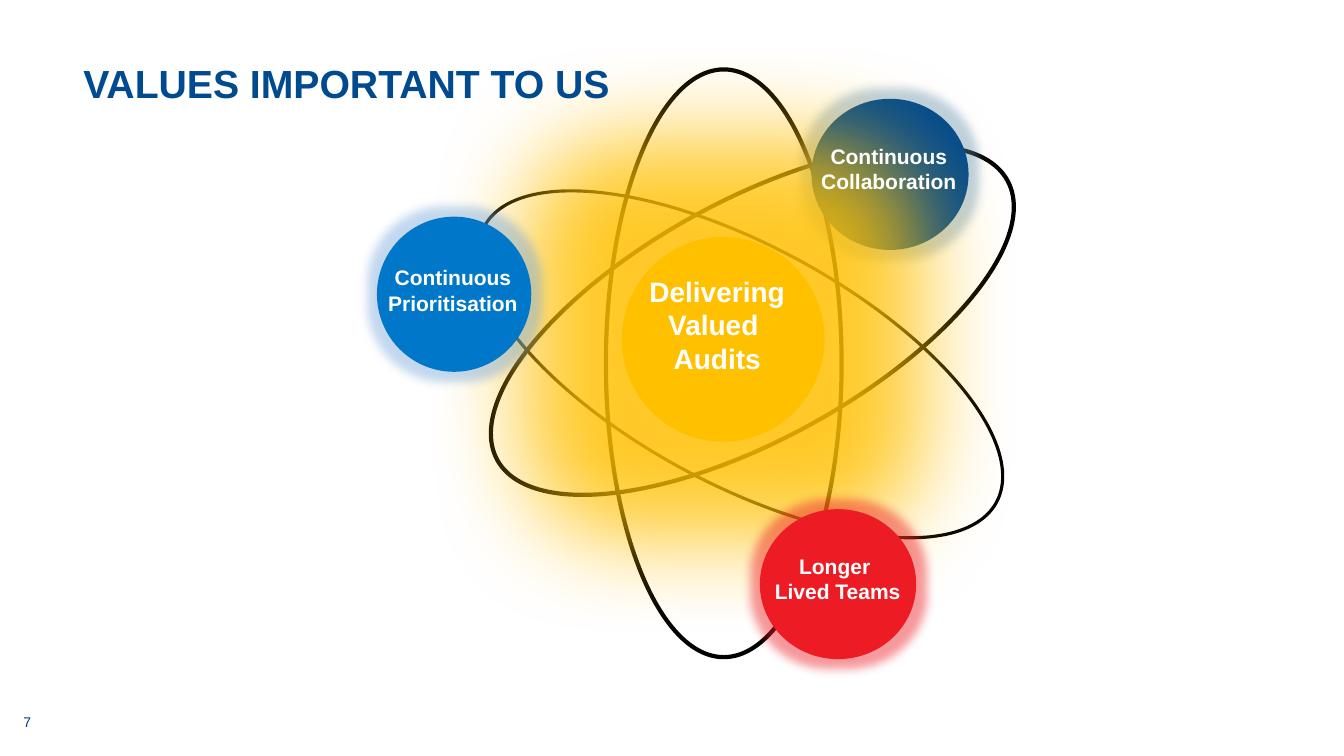
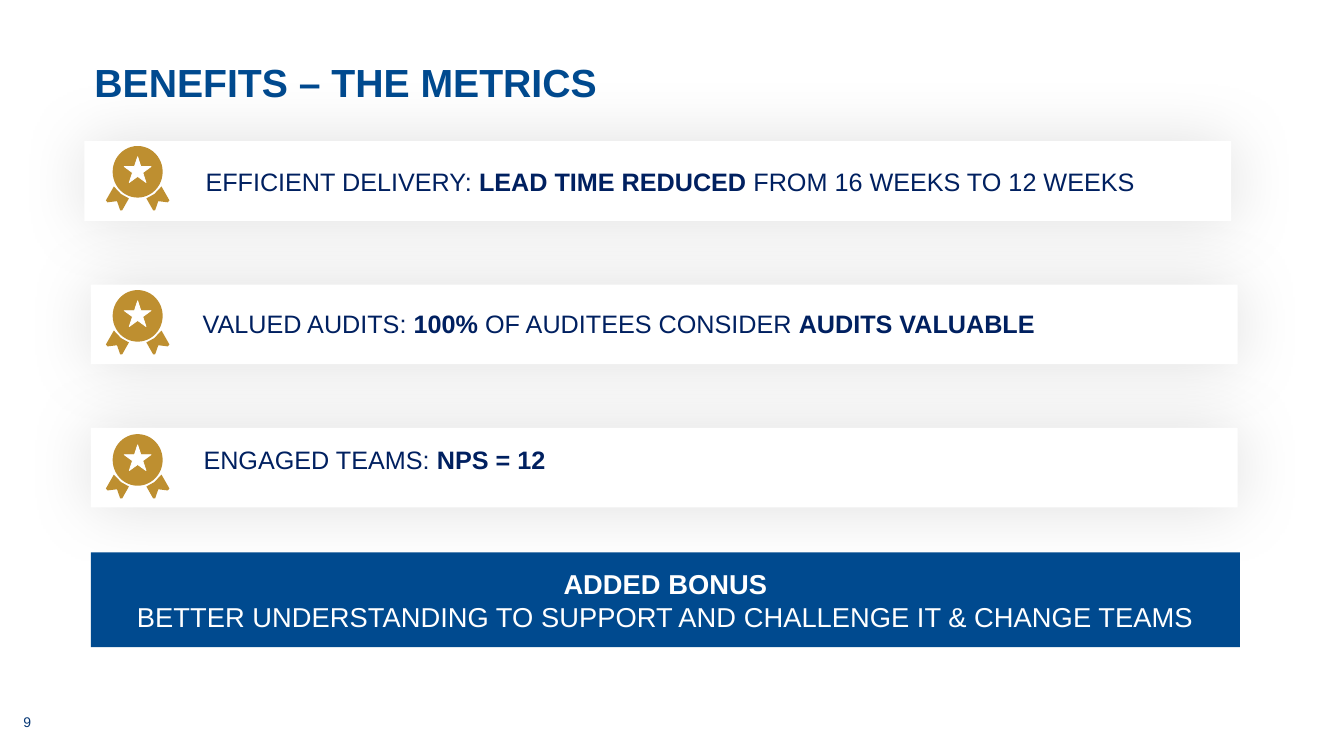
from lxml import etree
from pptx import Presentation
from pptx.dml.color import RGBColor
from pptx.enum.shapes import MSO_SHAPE
from pptx.enum.text import MSO_ANCHOR, PP_ALIGN
from pptx.oxml.ns import qn
from pptx.util import Cm, Pt

FONT = "Arial"
WHITE = RGBColor(0xFF, 0xFF, 0xFF)
BLACK = RGBColor(0x00, 0x00, 0x00)
DEEP_BLUE = RGBColor(0x00, 0x4A, 0x8F)
BRIGHT_BLUE = RGBColor(0x00, 0x77, 0xC8)
NAVY = RGBColor(0x00, 0x20, 0x60)
PAGE_BLUE = RGBColor(0x07, 0x38, 0x76)
YELLOW = RGBColor(0xFF, 0xC0, 0x00)
RED = RGBColor(0xED, 0x1C, 0x24)
GOLD = RGBColor(0xBE, 0x8F, 0x30)
GLOW_DEEP = RGBColor(0x5C, 0x8C, 0xB4)
GLOW_BRIGHT = RGBColor(0x69, 0x9D, 0xD7)

# Content; all lengths in centimetres
VALUES_TITLE = ("VALUES IMPORTANT TO US", (1.85, 1.37, 13.92, 1.45))
METRICS_TITLE = ("BENEFITS – THE METRICS", (2.13, 1.35, 13.31, 1.45))

ORBITS = [  # box, rotation, line width in points
    ((15.65, 1.85, 6.02, 14.66), 298.3, 2.25),
    ((15.95, 0.74, 6.02, 14.66), 61.3, 3),
    ((15.27, 1.75, 5.94, 14.81), 0, 3),
]
BUBBLES = [  # box, fill, glow colour, glow radius, glow opacity in percent
    ((20.45, 2.49, 3.96, 3.81), DEEP_BLUE, GLOW_DEEP, 0.5, 40),
    ((15.67, 5.97, 5.11, 5.16), YELLOW, YELLOW, 5, 84),
    ((19.15, 12.83, 3.94, 3.78), RED, RED, 0.5, 45),
    ((9.5, 5.46, 3.89, 3.91), BRIGHT_BLUE, GLOW_BRIGHT, 0.5, 40),
]
BUBBLE_LABELS = [  # box, size, paragraphs
    ((15.98, 6.78, 4.19, 2.87), 20, ["Delivering Valued ", "Audits"]),
    ((19.96, 3.48, 4.88, 1.55), 15, ["Continuous Collaboration"]),
    ((18.67, 13.82, 4.88, 1.55), 15, ["Longer ", "Lived Teams"]),
    ((9.47, 6.55, 3.89, 1.55), 15, ["Continuous Prioritisation"]),
]

METRICS = [  # card left, text left, text top, runs as (text, bold)
    (2.13, 5.18, 4.19, [("EFFICIENT DELIVERY: ", False), ("LEAD TIME REDUCED ", True),
                        ("FROM 16 WEEKS TO 12 WEEKS", False)]),
    (2.29, 5.11, 7.77, [("VALUED AUDITS: ", False), ("100% ", True),
                        ("OF AUDITEES CONSIDER ", False), ("AUDITS VALUABLE", True)]),
    (2.29, 5.13, 11.2, [("ENGAGED TEAMS: ", False), ("NPS = 12", True)]),
]
CARD_TOP, CARD_STEP, CARD_WIDTH, CARD_HEIGHT = 3.56, 3.61, 28.9, 2.01
MEDAL_LEFT, MEDAL_TOP, MEDAL_STEP, MEDAL_WIDTH = 2.67, 3.68, 3.63, 1.6
RIBBON = [(0.58, 1.32), (0.38, 1.21), (0.2, 1.02), (0, 1.37), (0.04, 1.42),
          (0.28, 1.39), (0.36, 1.62), (0.41, 1.62)]
BONUS = [("ADDED BONUS", True),
         ("BETTER UNDERSTANDING TO SUPPORT AND CHALLENGE IT & CHANGE TEAMS", False)]


def lengths(box):
    return [Cm(value) for value in box]


def paint(shape, fill=None, line=None, line_width=1):
    shape.shadow.inherit = False
    if fill is None:
        shape.fill.background()
    else:
        shape.fill.solid()
        shape.fill.fore_color.rgb = fill
    if line is None:
        shape.line.fill.background()
    else:
        shape.line.color.rgb = line
        shape.line.width = Pt(line_width)


def add_shape(shapes, kind, box, fill=None, line=None, line_width=1):
    shape = shapes.add_shape(kind, *lengths(box))
    paint(shape, fill, line, line_width)
    return shape


def add_effect(shape, tag, color, opacity, **attributes):
    """Add a glow or an outer shadow to a painted shape."""
    effects = shape.element.spPr.find(qn("a:effectLst"))
    effect = etree.SubElement(effects, qn(tag))
    for name, value in attributes.items():
        effect.set(name, str(int(value)))
    color_node = etree.SubElement(effect, qn("a:srgbClr"), val=str(color))
    etree.SubElement(color_node, qn("a:alpha"), val=str(opacity * 1000))


def write(frame, paragraphs, size, color, align=PP_ALIGN.LEFT, margins=True, wrap=True):
    """Fill a text frame with paragraphs, each a list of (text, bold) runs."""
    frame.word_wrap = wrap
    if not margins:
        frame.margin_left = frame.margin_right = 0
        frame.margin_top = frame.margin_bottom = 0
    for index, runs in enumerate(paragraphs):
        paragraph = frame.add_paragraph() if index else frame.paragraphs[0]
        paragraph.alignment = align
        paragraph.font.name = FONT
        paragraph.font.size = Pt(size)
        paragraph.font.color.rgb = color
        for text, bold in runs:
            run = paragraph.add_run()
            run.text = text
            run.font.bold = bold


def add_text(slide, box, *args, **options):
    frame = slide.shapes.add_textbox(*lengths(box)).text_frame
    write(frame, *args, **options)
    return frame


def add_slide(presentation, title, number):
    """Start a slide with the shared page number and title."""
    slide = presentation.slides.add_slide(presentation.slide_layouts[6])
    page = add_text(slide, (0, 18.06, 1.37, 0.99), [[(number, False)]], 10, PAGE_BLUE,
                    PP_ALIGN.CENTER, margins=False)
    page.paragraphs[0].line_spacing = 0.8
    text, box = title
    return slide, lambda: add_text(slide, box, [[(text, True)]], 28, DEEP_BLUE, wrap=False)


def add_medal(slide, left, top):
    shapes = slide.shapes.add_group_shape().shapes
    add_shape(shapes, MSO_SHAPE.OVAL, (left + 0.17, top, 1.26, 1.3), GOLD)
    add_shape(shapes, MSO_SHAPE.STAR_5_POINT, (left + 0.46, top + 0.27, 0.68, 0.65),
              WHITE, WHITE, 0.5)
    mirrored = [(MEDAL_WIDTH - x, y) for x, y in RIBBON]
    for outline in (RIBBON, mirrored):
        points = [(Cm(left + x), Cm(top + y)) for x, y in outline]
        builder = shapes.build_freeform(*points[0])
        builder.add_line_segments(points[1:], close=True)
        paint(builder.convert_to_shape(), GOLD)


def build_values(presentation):
    slide, add_title = add_slide(presentation, VALUES_TITLE, "7")
    # Orbits
    for box, rotation, width in ORBITS:
        orbit = add_shape(slide.shapes, MSO_SHAPE.OVAL, box, line=BLACK, line_width=width)
        orbit.rotation = rotation
    # Glowing bubbles
    for box, fill, glow, radius, opacity in BUBBLES:
        bubble = add_shape(slide.shapes, MSO_SHAPE.OVAL, box, fill)
        add_effect(bubble, "a:glow", glow, opacity, rad=Cm(radius))
    # Labels
    for box, size, lines in BUBBLE_LABELS:
        add_text(slide, box, [[(line, True)] for line in lines], size, WHITE, PP_ALIGN.CENTER)
    add_title()


def build_metrics(presentation):
    slide, add_title = add_slide(presentation, METRICS_TITLE, "9")
    add_title()
    # Metric cards
    for row, (left, text_left, text_top, runs) in enumerate(METRICS):
        card = add_shape(slide.shapes, MSO_SHAPE.RECTANGLE,
                         (left, CARD_TOP + row * CARD_STEP, CARD_WIDTH, CARD_HEIGHT), WHITE)
        add_effect(card, "a:outerShdw", BLACK, 13, blurRad=Pt(48), dist=0, dir=0)
        add_text(slide, (text_left, text_top, 26.09, 0.76), [runs], 18, NAVY, margins=False)
    # Medals
    for row in range(len(METRICS)):
        add_medal(slide, MEDAL_LEFT, MEDAL_TOP + row * MEDAL_STEP)
    # Bonus bar
    bar = add_shape(slide.shapes, MSO_SHAPE.RECTANGLE, (2.29, 13.92, 28.96, 2.39), DEEP_BLUE)
    bar.text_frame.vertical_anchor = MSO_ANCHOR.MIDDLE
    write(bar.text_frame, [[run] for run in BONUS], 19.5, WHITE, PP_ALIGN.CENTER, margins=False)


def main():
    presentation = Presentation()
    presentation.slide_width = Cm(33.87)
    presentation.slide_height = Cm(19.05)
    build_values(presentation)
    build_metrics(presentation)
    presentation.save("out.pptx")


if __name__ == "__main__":
    main()
